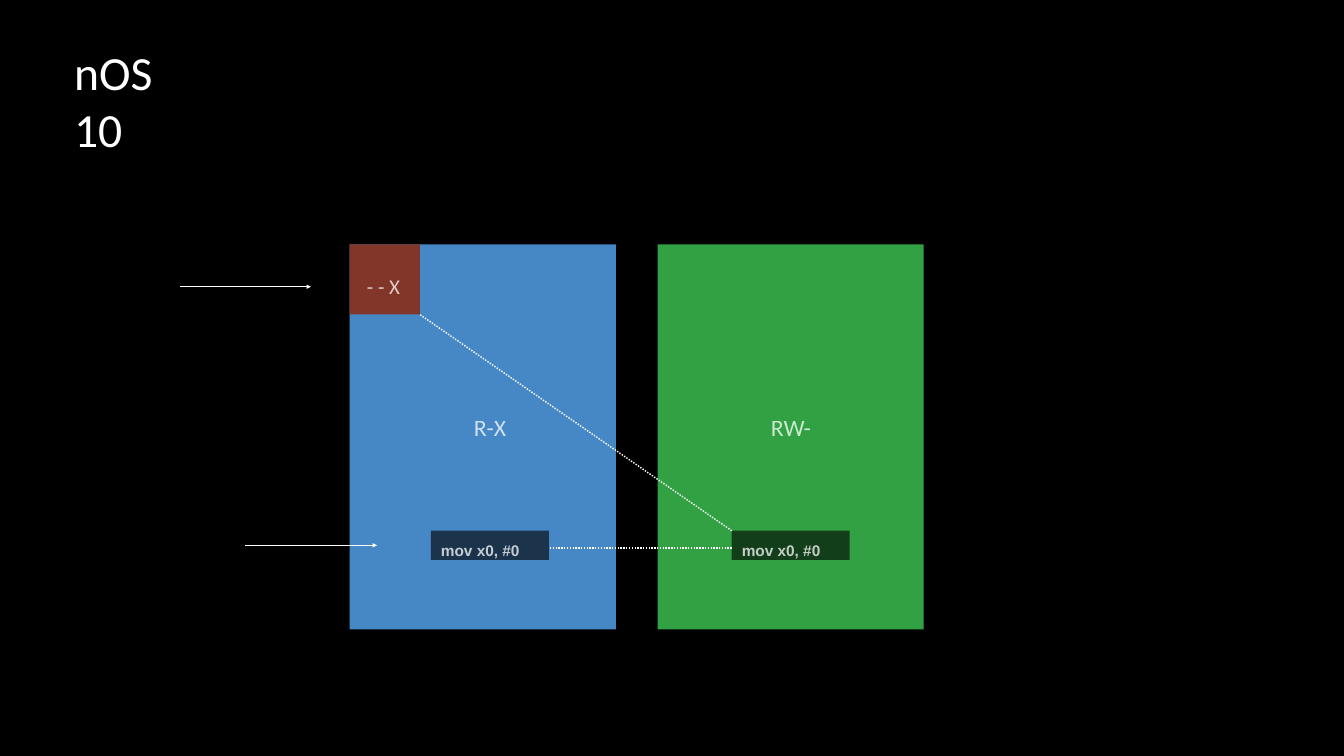
from pptx import Presentation
from pptx.dml.color import RGBColor
from pptx.enum.dml import MSO_LINE
from pptx.enum.shapes import MSO_CONNECTOR, MSO_SHAPE
from pptx.enum.text import MSO_ANCHOR, PP_ALIGN
from pptx.oxml.ns import qn
from pptx.util import Inches, Pt
from lxml import etree

RECT, LINE = MSO_SHAPE.RECTANGLE, MSO_CONNECTOR.STRAIGHT
MID, DOTS = MSO_ANCHOR.MIDDLE, MSO_LINE.ROUND_DOT
LEFT, MIDST = PP_ALIGN.LEFT, PP_ALIGN.CENTER
BLACK = RGBColor(0x00, 0x00, 0x00)
WHITE = RGBColor(0xFF, 0xFF, 0xFF)
BLUE = RGBColor(0x46, 0x87, 0xC6)
GREEN = RGBColor(0x31, 0xA1, 0x43)
RED = RGBColor(0x81, 0x36, 0x29)

# Grid: two equal panels, each with a code box at the same height
COLS = [6.94, 13.05]
TOP, WIDE, HIGH = 4.85, 5.28, 7.64
CODES = [8.55, 14.52]
ROW, CODE_W, CODE_H = 10.53, 2.34, 0.58
SIDE = 1.39

deck = Presentation()
deck.slide_width, deck.slide_height = Inches(26.67), Inches(15)
slide = deck.slides.add_slide(deck.slide_layouts[5])
slide.background.fill.solid()
slide.background.fill.fore_color.rgb = BLACK


def block(x, y, w, h, color, alpha=100):
    """Draw a plain filled box."""
    box = slide.shapes.add_shape(RECT, *map(Inches, (x, y, w, h)))
    box.shadow.inherit = False
    box.fill.solid()
    box.fill.fore_color.rgb = color
    box.line.fill.background()
    if alpha < 100:
        tint = box._element.spPr.find(".//" + qn("a:srgbClr"))
        etree.SubElement(tint, qn("a:alpha")).set("val", str(alpha * 1000))


def label(box, text, size, font="Calibri", align=LEFT, bold=False, alpha=75):
    """Fill a text box or title with one formatted line."""
    frame = box.text_frame
    frame.text = text
    frame.vertical_anchor = MID
    frame.margin_left = frame.margin_right = Inches(0.08)
    frame.margin_top = frame.margin_bottom = Inches(0.08)
    line = frame.paragraphs[0]
    line.alignment = align
    face = line.runs[0].font
    face.name, face.size, face.bold = font, Pt(size), bold
    face.color.rgb = WHITE
    if alpha < 100:
        line.line_spacing = 1.5
        tint = box._element.find(".//" + qn("a:srgbClr"))
        etree.SubElement(tint, qn("a:alpha")).set("val", str(alpha * 1000))


# Title
title = slide.shapes.title
title.left, title.top = Inches(1.39), Inches(1.39)
title.width, title.height = Inches(2.64), Inches(1.17)
title.text_frame.word_wrap = False
label(title, "nOS 10", 68, alpha=100)

# Memory panels, the execute-only page and the code boxes
for x, color in zip(COLS, (BLUE, GREEN)):
    block(x, TOP, WIDE, HIGH, color)
block(COLS[0], TOP, SIDE, SIDE, RED)
for x in CODES:
    block(x, ROW, CODE_W, CODE_H, BLACK, 61)

# Labels: place, text, size, font, alignment, weight
labels = [
    ((8.88, 8, 1.69, 0.67), "R-X", 34, "Calibri", MIDST, False),
    ((14.85, 8, 1.69, 0.67), "RW-", 34, "Calibri", MIDST, False),
    ((7.2, 5.25, 0.86, 0.6), "- - X", 30, "Calibri", LEFT, False),
]
for x in CODES:
    place = (x + 0.12, 10.57, 2.2, 0.5)
    labels.append((place, "mov x0, #0", 22, "Arial", LEFT, True))
for place, text, size, font, align, bold in labels:
    box = slide.shapes.add_textbox(*map(Inches, place))
    box.text_frame.word_wrap = text != "- - X"
    label(box, text, size, font, align, bold)

# Arrows into the blue panel, dotted links to the green one
links = [
    ((3.57, 5.69, 6.17, 5.69), False),
    ((4.87, 10.82, 7.48, 10.82), False),
    ((CODES[1], ROW, COLS[0] + SIDE, TOP + SIDE), True),
    ((CODES[1], 10.87, CODES[0] + CODE_W, 10.87), True),
]
for ends, dotted in links:
    link = slide.shapes.add_connector(LINE, *map(Inches, ends))
    link.line.color.rgb = WHITE
    link.line.width = Pt(2)
    if dotted:
        link.line.dash_style = DOTS
    else:
        tip = etree.SubElement(link.line._get_or_add_ln(), qn("a:tailEnd"))
        tip.set("type", "triangle")
    etree.SubElement(link._element.spPr, qn("a:effectLst"))

deck.save("out.pptx")
